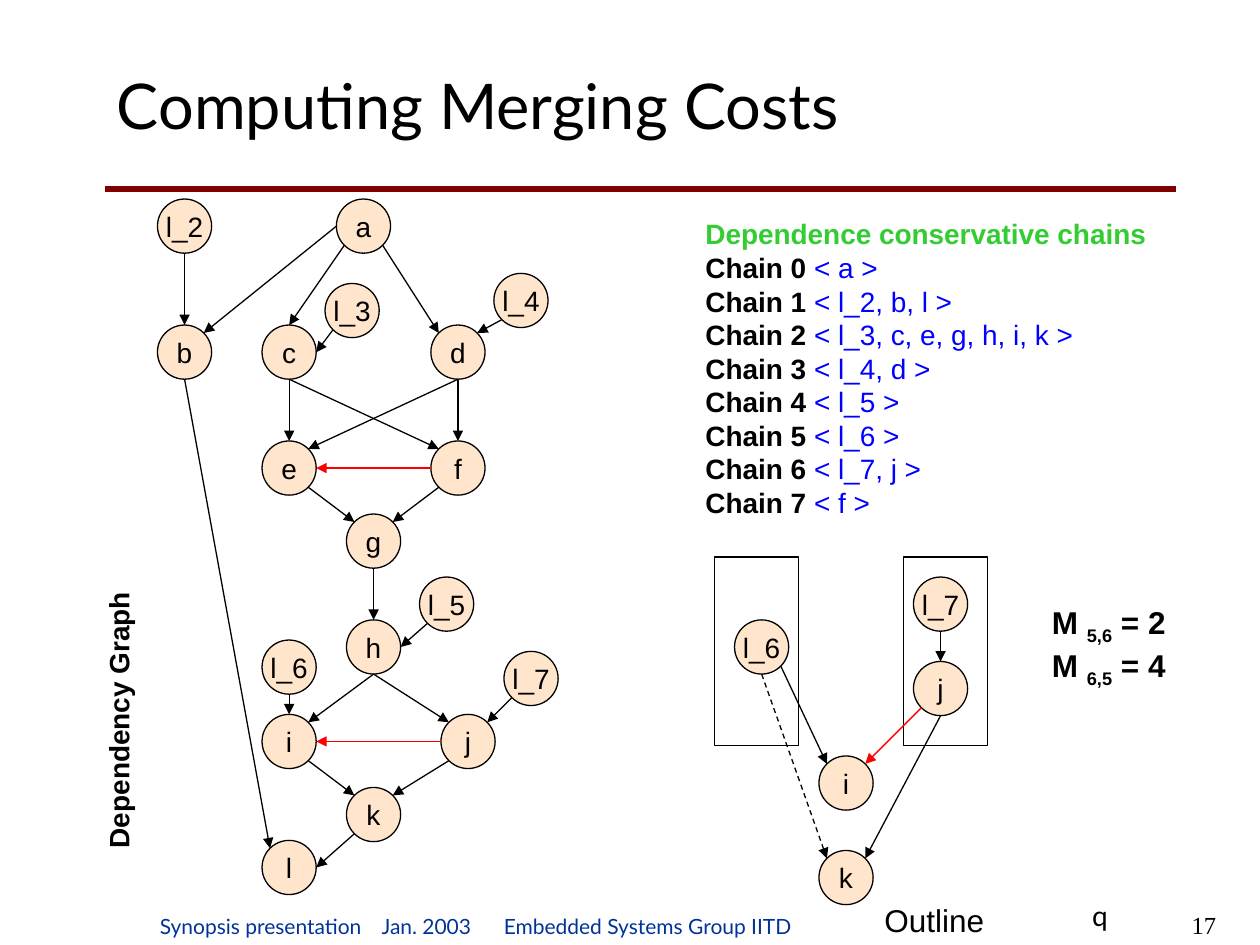
from dataclasses import dataclass
from math import sqrt
from typing import NamedTuple

from lxml.etree import SubElement
from pptx import Presentation
from pptx.dml.color import RGBColor
from pptx.enum.dml import MSO_LINE
from pptx.enum.shapes import MSO_CONNECTOR, MSO_SHAPE
from pptx.enum.text import MSO_ANCHOR, PP_ALIGN
from pptx.oxml.ns import qn
from pptx.util import Inches, Pt


@dataclass(frozen=True)
class Theme:
    black: str = "000000"
    white: str = "FFFFFF"
    rule: str = "800000"
    node: str = "FFCC99"
    merge: str = "FF0000"
    heading: str = "33CC33"
    chain: str = "0000FF"
    footer: str = "003399"
    sans: str = "Arial"
    display: str = "Lato"
    serif: str = "Times New Roman"
    title_size: int = 36
    large: int = 18
    body: int = 16
    number: int = 14
    small: int = 12
    thin: float = 0.75
    thick: float = 3


class Box(NamedTuple):
    left: float
    top: float
    width: float
    height: float


class Run(NamedTuple):
    text: str
    color: str = "000000"
    bold: bool = False
    subscript: bool = False


class Edge(NamedTuple):
    source: str
    source_side: str
    target: str
    target_side: str
    color: str = "000000"
    dashed: bool = False


THEME = Theme()
NODE_SIZE = 0.43
DIAGONAL = 1 / sqrt(2)
COMPASS = {
    "N": (0, -1), "S": (0, 1), "W": (-1, 0), "E": (1, 0),
    "NW": (-DIAGONAL, -DIAGONAL), "NE": (DIAGONAL, -DIAGONAL),
    "SW": (-DIAGONAL, DIAGONAL), "SE": (DIAGONAL, DIAGONAL),
}

DEPENDENCY_NODES = {
    "l_2": (1.25, 1.58), "a": (2.67, 1.58), "l_4": (3.92, 2.17), "l_3": (2.58, 2.25),
    "b": (1.25, 2.58), "c": (2.08, 2.58), "d": (3.42, 2.58),
    "e": (2.08, 3.5), "f": (3.42, 3.5), "g": (2.75, 4.08),
    "l_5": (3.33, 4.58), "h": (2.75, 4.92), "l_6": (2.08, 5.08), "l_7": (4, 5.17),
    "i": (2.08, 5.67), "j": (3.5, 5.67), "k": (2.75, 6.25), "l": (2.08, 6.67),
}
DEPENDENCY_EDGES = [
    Edge("l_2", "S", "b", "N"), Edge("a", "W", "b", "NE"),
    Edge("a", "SW", "c", "N"), Edge("a", "SE", "d", "NW"),
    Edge("l_3", "SW", "c", "E"), Edge("l_4", "SW", "d", "NE"),
    Edge("c", "S", "e", "N"), Edge("c", "S", "f", "NW"),
    Edge("d", "S", "f", "N"), Edge("d", "S", "e", "NE"),
    Edge("e", "SE", "g", "NW"), Edge("f", "SW", "g", "NE"),
    Edge("g", "S", "h", "N"), Edge("l_5", "SW", "h", "E"),
    Edge("l_6", "S", "i", "N"), Edge("l_7", "SW", "j", "NE"),
    Edge("h", "S", "i", "NE"), Edge("h", "S", "j", "NW"),
    Edge("i", "SE", "k", "NW"), Edge("j", "SW", "k", "NE"),
    Edge("k", "SW", "l", "E"), Edge("b", "S", "l", "NW"),
    Edge("f", "W", "e", "E", THEME.merge), Edge("j", "W", "i", "E", THEME.merge),
]
MERGE_NODES = {
    "l_6": (5.83, 4.92), "l_7": (7.25, 4.58), "j": (7.25, 5.25),
    "i": (6.5, 6), "k": (6.5, 6.75),
}
MERGE_EDGES = [
    Edge("l_7", "S", "j", "N"), Edge("l_6", "SE", "i", "NW"),
    Edge("j", "SW", "i", "NE", THEME.merge),
    Edge("l_6", "S", "k", "NW", dashed=True), Edge("j", "S", "k", "NE"),
]
MERGED_CHAINS = [Box(left, 4.42, 0.67, 1.5) for left in (5.67, 7.17)]
CHAINS = ["a", "l_2, b, l", "l_3, c, e, g, h, i, k", "l_4, d", "l_5", "l_6", "l_7, j", "f"]
MERGE_COSTS = {"5,6": 2, "6,5": 4}


def rgb(color: str) -> RGBColor:
    return RGBColor.from_string(color)


def add_runs(paragraph, runs: list[Run], size: float, font: str) -> None:
    for part in runs:
        run = paragraph.add_run()
        run.text = part.text
        run.font.size, run.font.name, run.font.bold = Pt(size), font, part.bold
        run.font.color.rgb = rgb(part.color)
        if part.subscript:
            run.font._element.set("baseline", "-25000")


def add_text(slide, box: Box, lines: list[list[Run]], size: float, font: str = THEME.sans,
             anchor=MSO_ANCHOR.BOTTOM, align=PP_ALIGN.LEFT, wrap: bool = True):
    label = slide.shapes.add_textbox(*map(Inches, box))
    frame = label.text_frame
    frame.word_wrap, frame.vertical_anchor = wrap, anchor
    for index, runs in enumerate(lines):
        paragraph = frame.add_paragraph() if index else frame.paragraphs[0]
        paragraph.alignment = align
        add_runs(paragraph, runs, size, font)
    return label


def add_outlined(slide, kind: MSO_SHAPE, box: Box, fill: str):
    shape = slide.shapes.add_shape(kind, *map(Inches, box))
    shape.shadow.inherit = False
    shape.fill.solid()
    shape.fill.fore_color.rgb = rgb(fill)
    shape.line.color.rgb = rgb(THEME.black)
    shape.line.width = Pt(THEME.thin)
    return shape


def add_node(slide, name: str, left: float, top: float) -> None:
    node = add_outlined(slide, MSO_SHAPE.OVAL, Box(left, top, NODE_SIZE, NODE_SIZE), THEME.node)
    fill_color = node._element.spPr.find(qn("a:solidFill"))[0]
    SubElement(fill_color, qn("a:alpha"), val="50000")
    frame = node.text_frame
    frame.word_wrap, frame.vertical_anchor = False, MSO_ANCHOR.MIDDLE
    frame.paragraphs[0].alignment = PP_ALIGN.CENTER
    add_runs(frame.paragraphs[0], [Run(name)], THEME.body, THEME.sans)


def add_line(slide, start: tuple[float, float], end: tuple[float, float], color: str, width: float):
    line = slide.shapes.add_connector(MSO_CONNECTOR.STRAIGHT, *map(Inches, (*start, *end)))
    line.line.color.rgb = rgb(color)
    line.line.width = Pt(width)
    SubElement(line._element.spPr, qn("a:effectLst"))
    return line


def rim_point(corner: tuple[float, float], side: str) -> tuple[float, float]:
    """Return the point on a node's circle in a compass direction."""
    radius = NODE_SIZE / 2
    x, y = (start + radius * (1 + step) for start, step in zip(corner, COMPASS[side]))
    return x, y


def add_graph(slide, nodes: dict[str, tuple[float, float]], edges: list[Edge]) -> None:
    for name, corner in nodes.items():
        add_node(slide, name, *corner)
    for edge in edges:
        arrow = add_line(slide, rim_point(nodes[edge.source], edge.source_side),
                         rim_point(nodes[edge.target], edge.target_side), edge.color, THEME.thin)
        if edge.dashed:
            arrow.line.dash_style = MSO_LINE.DASH
        SubElement(arrow.line._get_or_add_ln(), qn("a:tailEnd"), type="triangle")


def add_footer(slide) -> None:
    footer = add_text(slide, Box(1.17, 7.17, 5.58, 0.33), [[]], THEME.small)
    paragraph = footer.text_frame.paragraphs[0]
    tabs = SubElement(paragraph._p.get_or_add_pPr(), qn("a:tabLst"))
    for position in (1.76, 2.73):
        SubElement(tabs, qn("a:tab"), pos=str(Inches(position)), algn="l")
    text = "Synopsis presentation\tJan. 2003\tEmbedded Systems Group IITD"
    add_runs(paragraph, [Run(text, THEME.footer)], THEME.small, THEME.display)
    add_text(slide, Box(6.92, 7.1, 1.08, 0.4), [[Run("Outline")]], THEME.large)
    add_text(slide, Box(8.57, 7.08, 0.42, 0.37), [[Run("q")]], THEME.body, THEME.display,
             MSO_ANCHOR.TOP)
    add_text(slide, Box(9.08, 7.17, 0.67, 0.33), [[Run("17")]], THEME.number, THEME.serif,
             MSO_ANCHOR.TOP, PP_ALIGN.RIGHT)


def main() -> None:
    deck = Presentation()
    deck.slide_width, deck.slide_height = Inches(10), Inches(7.5)
    slide = deck.slides.add_slide(deck.slide_layouts[6])

    add_line(slide, (0.83, 1.5), (9.33, 1.5), THEME.rule, THEME.thick)
    add_text(slide, Box(0.83, 0.33, 7.75, 1), [[Run("Computing Merging Costs")]],
             THEME.title_size, THEME.display, MSO_ANCHOR.MIDDLE)

    chain_lines = [[Run(f"Chain {number} ", bold=True), Run(f"< {members} >", THEME.chain)]
                   for number, members in enumerate(CHAINS)]
    heading = [Run("Dependence conservative chains", THEME.heading, bold=True)]
    add_text(slide, Box(5.5, 1.67, 3.75, 2.5), [heading, *chain_lines], THEME.body)

    add_graph(slide, DEPENDENCY_NODES, DEPENDENCY_EDGES)
    graph_label = add_text(slide, Box(-0.23, 5.48, 2.33, 0.37),
                           [[Run("Dependency Graph", bold=True)]], THEME.body)
    graph_label.rotation = 270

    for chain_box in MERGED_CHAINS:
        add_outlined(slide, MSO_SHAPE.RECTANGLE, chain_box, THEME.white)
    add_graph(slide, MERGE_NODES, MERGE_EDGES)
    cost_lines = [[Run("M ", bold=True), Run(pair, bold=True, subscript=True),
                   Run(f" = {cost}", bold=True)] for pair, cost in MERGE_COSTS.items()]
    add_text(slide, Box(8.25, 4.74, 1.1, 0.78), cost_lines, THEME.large, wrap=False)
    add_footer(slide)
    deck.save("out.pptx")


if __name__ == "__main__":
    main()
